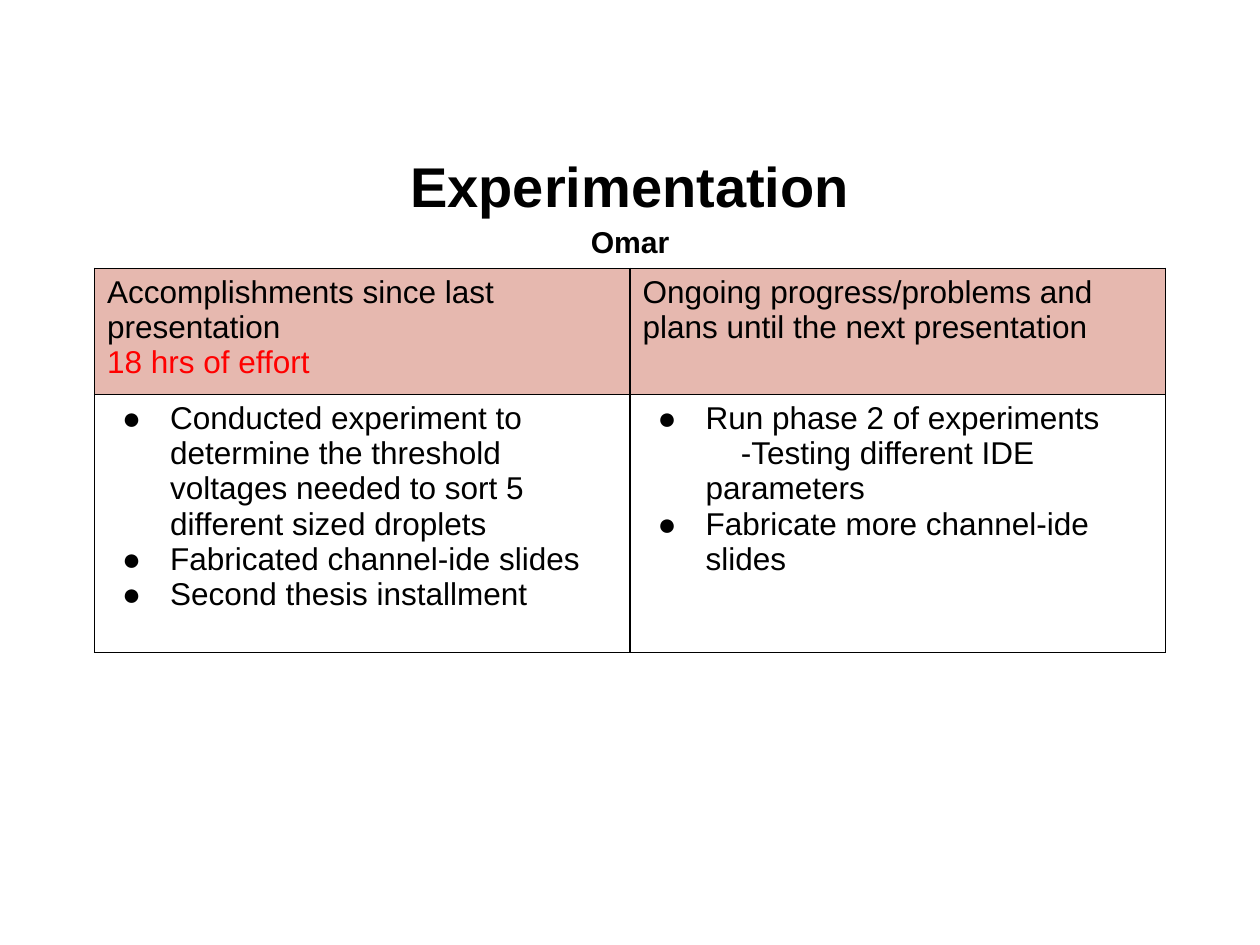
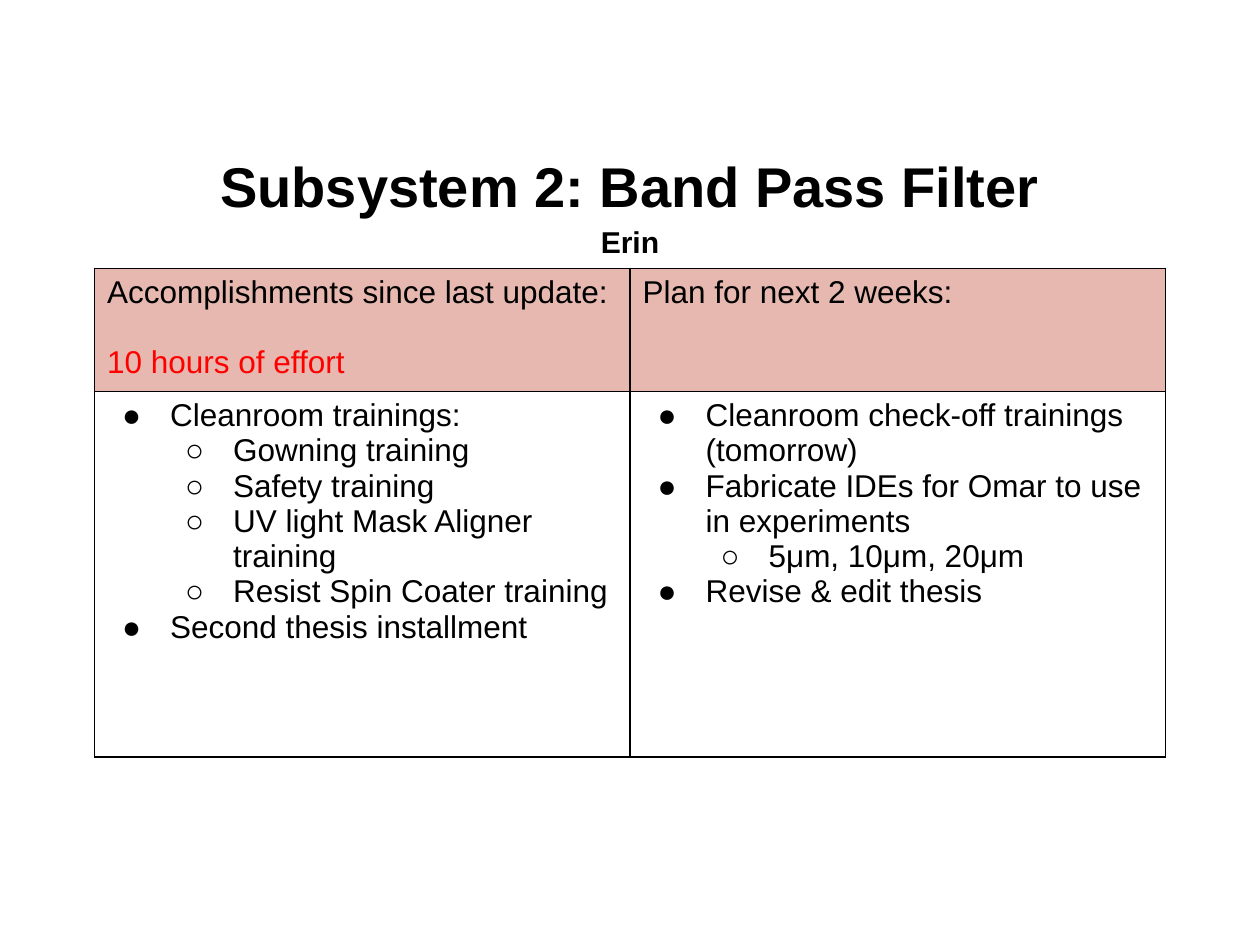
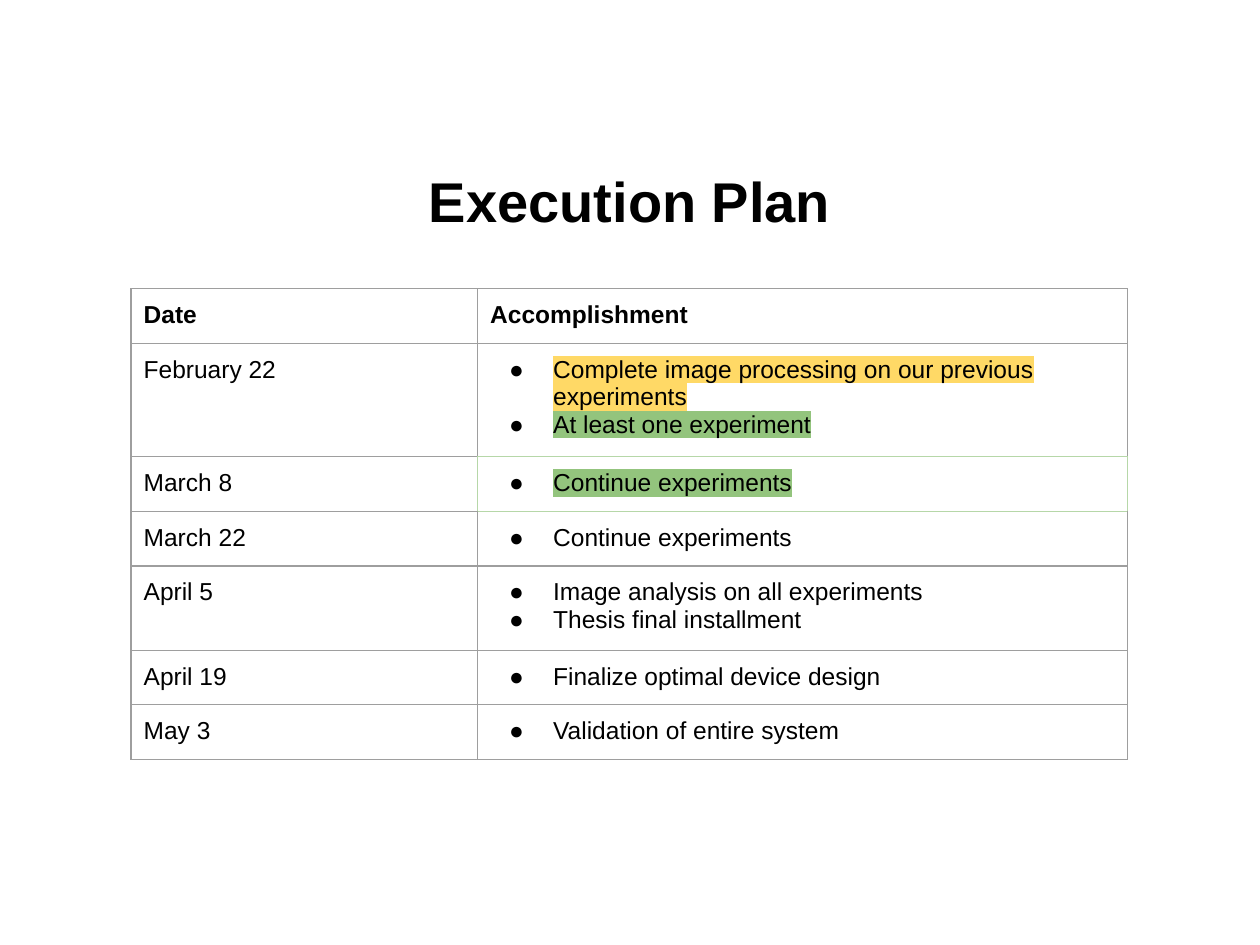
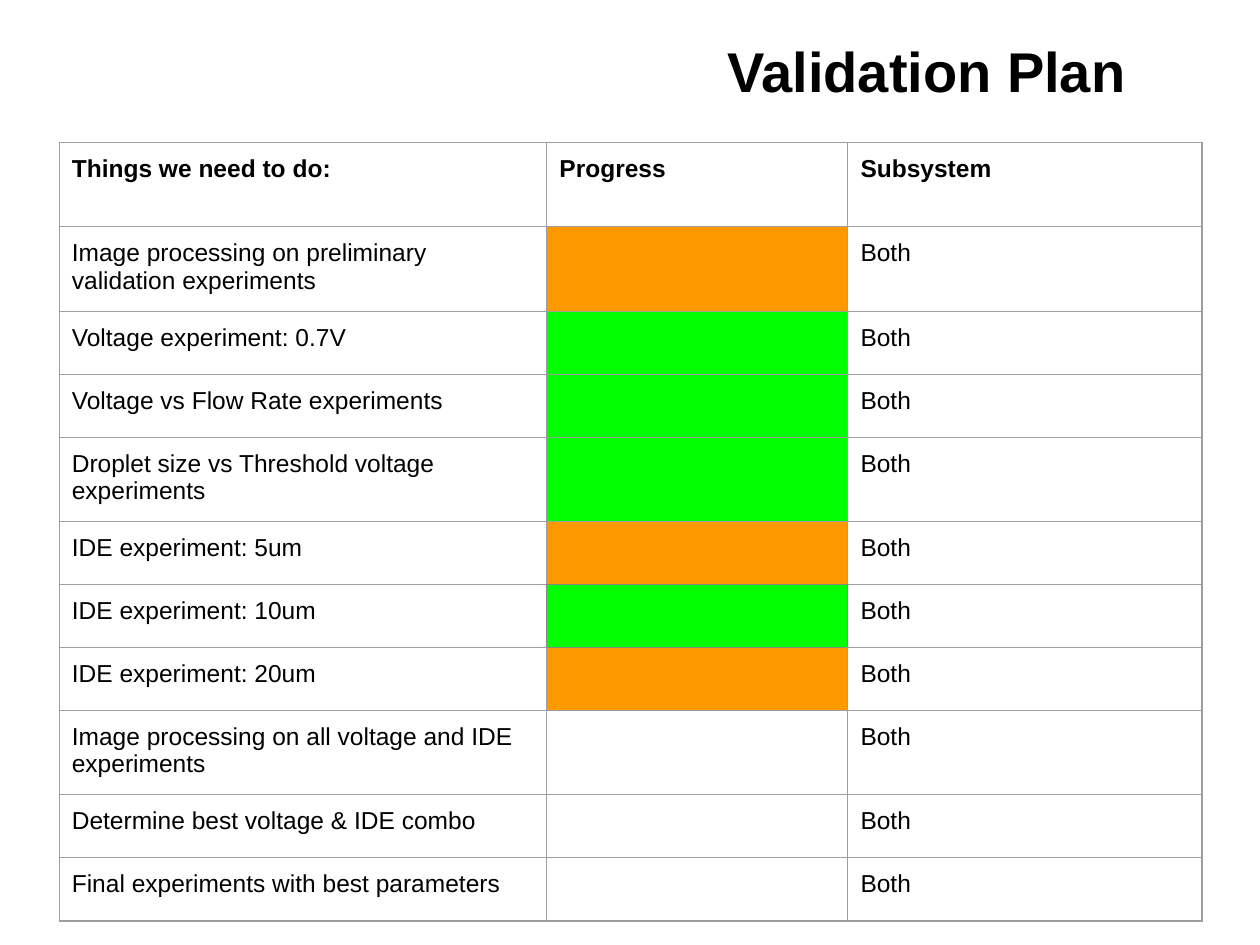
from dataclasses import dataclass

from lxml.etree import SubElement
from pptx import Presentation
from pptx.dml.color import RGBColor
from pptx.enum.text import MSO_ANCHOR, PP_ALIGN
from pptx.oxml.ns import qn
from pptx.util import Inches, Pt

FONT = "Arial"
COLORS = {
    "text": "000000", "effort": "FF0000", "header": "E6B8AF",
    "frame": "000000", "grid": "9E9E9E", "current": "B6D7A8", "checked": "888888",
    "partial": "FFD966", "achieved": "93C47D",
    "started": "FF9900", "done": "00FF00", "open": "FFFFFF",
}
BULLETS = {1: "●", 2: "○"}
LEVEL_INDENT = 0.5
SIDES = {"lnL": (0, -1), "lnR": (0, 1), "lnT": (-1, 0), "lnB": (1, 0)}


@dataclass
class Line:
    """One paragraph of a cell; level 0 has no bullet."""
    text: str
    level: int = 0
    color: str = "text"
    highlight: str = ""
    bold: bool = False
    gap: float = 0
    first_indent: float = 0


def bullets(*texts, level=1):
    return [Line(text, level) for text in texts]


UPDATES = [
    {
        "title": "Experimentation", "owner": "Omar", "heights": [0.94, 2.05],
        "headers": [
            [Line("Accomplishments since last presentation"),
             Line("18 hrs of effort", color="effort")],
            [Line("Ongoing progress/problems and plans until the next presentation")],
        ],
        "bodies": [
            bullets("Conducted experiment to determine the threshold voltages "
                    "needed to sort 5 different sized droplets",
                    "Fabricated channel-ide slides", "Second thesis installment"),
            bullets("Run phase 2 of experiments")
            + [Line("-Testing different IDE parameters", first_indent=0.28)]
            + bullets("Fabricate more channel-ide slides"),
        ],
    },
    {
        "title": "Subsystem 2: Band Pass Filter", "owner": "Erin", "heights": [0.94, 2.9],
        "headers": [
            [Line("Accomplishments since last update:"),
             Line("10 hours of effort", color="effort", gap=20)],
            [Line("Plan for next 2 weeks:")],
        ],
        "bodies": [
            bullets("Cleanroom trainings:")
            + bullets("Gowning training", "Safety training", "UV light Mask Aligner training",
                      "Resist Spin Coater training", level=2)
            + bullets("Second thesis installment"),
            bullets("Cleanroom check-off trainings (tomorrow)",
                    "Fabricate IDEs for Omar to use in experiments")
            + bullets("5μm, 10μm, 20μm", level=2)
            + bullets("Revise & edit thesis"),
        ],
    },
]

MILESTONES = [
    ("February 22", [
        Line("Complete image processing on our previous experiments", 1, highlight="partial"),
        Line("At least one experiment", 1, highlight="achieved")]),
    ("March 8", [Line("Continue experiments", 1, highlight="achieved")]),
    ("March 22", bullets("Continue experiments")),
    ("April 5", bullets("Image analysis on all experiments", "Thesis final installment")),
    ("April 19", bullets("Finalize optimal device design")),
    ("May 3", bullets("Validation of entire system")),
]
MILESTONE_HEIGHTS = [0.42, 0.86, 0.42, 0.42, 0.64, 0.42, 0.42]

TASKS = [
    ("Image processing on preliminary validation experiments", "started", 0.67),
    ("Voltage experiment: 0.7V", "done", 0.48),
    ("Voltage vs Flow Rate experiments", "done", 0.48),
    ("Droplet size vs Threshold voltage experiments", "done", 0.64),
    ("IDE experiment: 5um", "started", 0.48),
    ("IDE experiment: 10um", "done", 0.48),
    ("IDE experiment: 20um", "started", 0.48),
    ("Image processing on all voltage and IDE experiments", "open", 0.67),
    ("Determine best voltage & IDE combo", "open", 0.48),
    ("Final experiments with best parameters", "open", 0.48),
]


def style(para, size, color="text", bold=False):
    font = para.font
    font.name, font.size, font.bold = FONT, Pt(size), bold
    font.color.rgb = RGBColor.from_string(COLORS[color])


def add_color(parent, tag, color):
    SubElement(SubElement(parent, qn(tag)), qn("a:srgbClr"), val=COLORS[color])


def add_title(page, title, owner="", left=0.5, top=1.15, width=9):
    box = page.shapes.add_textbox(Inches(left), Inches(top), Inches(width), Inches(0.88))
    frame = box.text_frame
    frame.word_wrap = True
    frame.vertical_anchor = MSO_ANCHOR.MIDDLE
    frame.text = f"{title}\n{owner}" if owner else title
    for para, size in zip(frame.paragraphs, (32, 17.2)):
        para.alignment = PP_ALIGN.CENTER
        if owner:
            para.line_spacing = 1.15
        style(para, size, bold=True)


def write_line(para, line, size, hanging):
    if line.gap:
        para.space_before = Pt(line.gap)
    props = para._p.get_or_add_pPr()
    if line.level:
        props.set("marL", str(Inches(LEVEL_INDENT * line.level)))
        props.set("indent", str(-Inches(hanging)))
        props.set("lvl", str(line.level - 1))
        add_color(props, "a:buClr", "text")
        SubElement(props, qn("a:buFont"), typeface=FONT)
        SubElement(props, qn("a:buChar"), char=BULLETS[line.level])
    elif line.first_indent:
        props.set("marL", str(Inches(LEVEL_INDENT)))
        props.set("indent", str(Inches(line.first_indent)))
    style(para, size, line.color, line.bold)
    span = para.add_run()
    span.text = line.text
    if line.highlight:
        add_color(span._r.get_or_add_rPr(), "a:highlight", line.highlight)


def add_border(cell, side, color, width):
    edge = SubElement(cell._tc.get_or_add_tcPr(), qn(f"a:{side}"), w=str(Pt(width)))
    add_color(edge, "a:solidFill", color)


def add_grid(page, left, top, widths, heights, rows, size, hanging=0.35, margin=0.1,
             line=("grid", 0.75), fills=None, accents=None):
    """Draw rows of Line lists; fills and accents map (row, column) to a colour name.

    An accent colours all edges of its cell, so the neighbours' shared edges follow it.
    """
    fills, accents = fills or {}, accents or {}
    frame = page.shapes.add_table(len(rows), len(widths), Inches(left), Inches(top),
                                  Inches(sum(widths)), Inches(sum(heights)))
    table = frame.table
    table.first_row = table.horz_banding = False
    for column, width in zip(table.columns, widths):
        column.width = Inches(width)
    for row, height in zip(table.rows, heights):
        row.height = Inches(height)
    line_color, line_width = line
    for r, row in enumerate(rows):
        for c, lines in enumerate(row):
            cell = table.cell(r, c)
            cell.margin_left = cell.margin_right = Inches(0.1)
            cell.margin_top = cell.margin_bottom = Inches(margin)
            for side, (down, right) in SIDES.items():
                accent = accents.get((r, c)) or accents.get((r + down, c + right))
                add_border(cell, side, accent or line_color, line_width)
            if (r, c) in fills:
                cell.fill.solid()
                cell.fill.fore_color.rgb = RGBColor.from_string(COLORS[fills[r, c]])
            else:
                cell.fill.background()
            text = cell.text_frame
            for i, item in enumerate(lines):
                para = text.add_paragraph() if i else text.paragraphs[0]
                write_line(para, item, size, hanging)


def heading(*texts):
    return [[Line(text, bold=True)] for text in texts]


def main():
    deck = Presentation()
    deck.slide_width, deck.slide_height = Inches(10), Inches(7.5)

    def new_page():
        return deck.slides.add_slide(deck.slide_layouts[6])

    for update in UPDATES:
        page = new_page()
        add_title(page, update["title"], update["owner"])
        add_grid(page, 0.75, 2.13, [4.25, 4.25], update["heights"],
                 [update["headers"], update["bodies"]], 18, hanging=0.38, margin=0.05,
                 line=("frame", 1), fills={(0, 0): "header", (0, 1): "header"})

    page = new_page()
    add_title(page, "Execution Plan")
    rows = [heading("Date", "Accomplishment")]
    rows += [[[Line(date)], goals] for date, goals in MILESTONES]
    add_grid(page, 1.04, 2.29, [2.75, 5.16], MILESTONE_HEIGHTS, rows, 14,
             accents={(2, 1): "current"})

    page = new_page()
    rows = [heading("Things we need to do:", "Progress", "Subsystem")]
    rows += [[[Line(task)], [], [Line("Both")]] for task, _, _ in TASKS]
    add_grid(page, 0.47, 1.13, [3.87, 2.39, 2.81],
             [0.67] + [height for _, _, height in TASKS], rows, 14,
             fills={(r, 1): state for r, (_, state, _) in enumerate(TASKS, 1)},
             accents={(6, 1): "checked"})
    add_title(page, "Validation Plan", left=5, top=0.12, width=4.71)

    deck.save("out.pptx")


if __name__ == "__main__":
    main()
